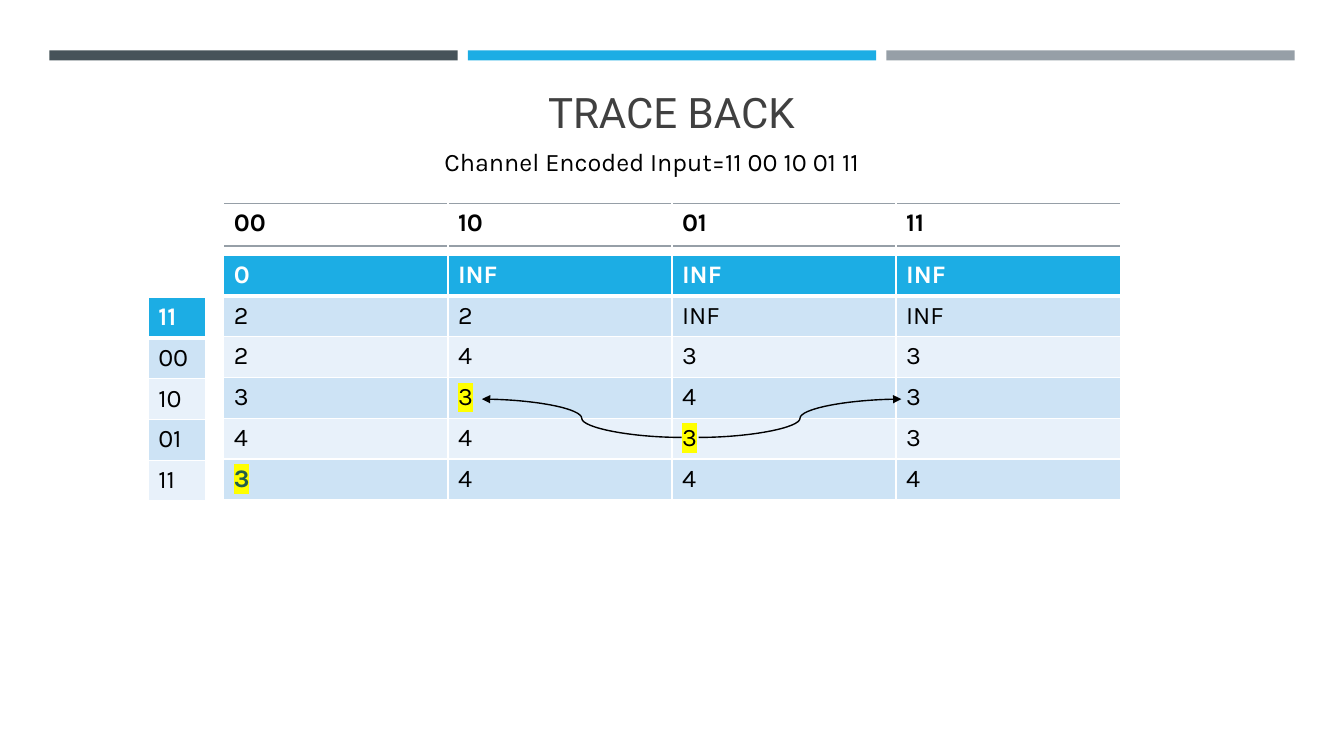
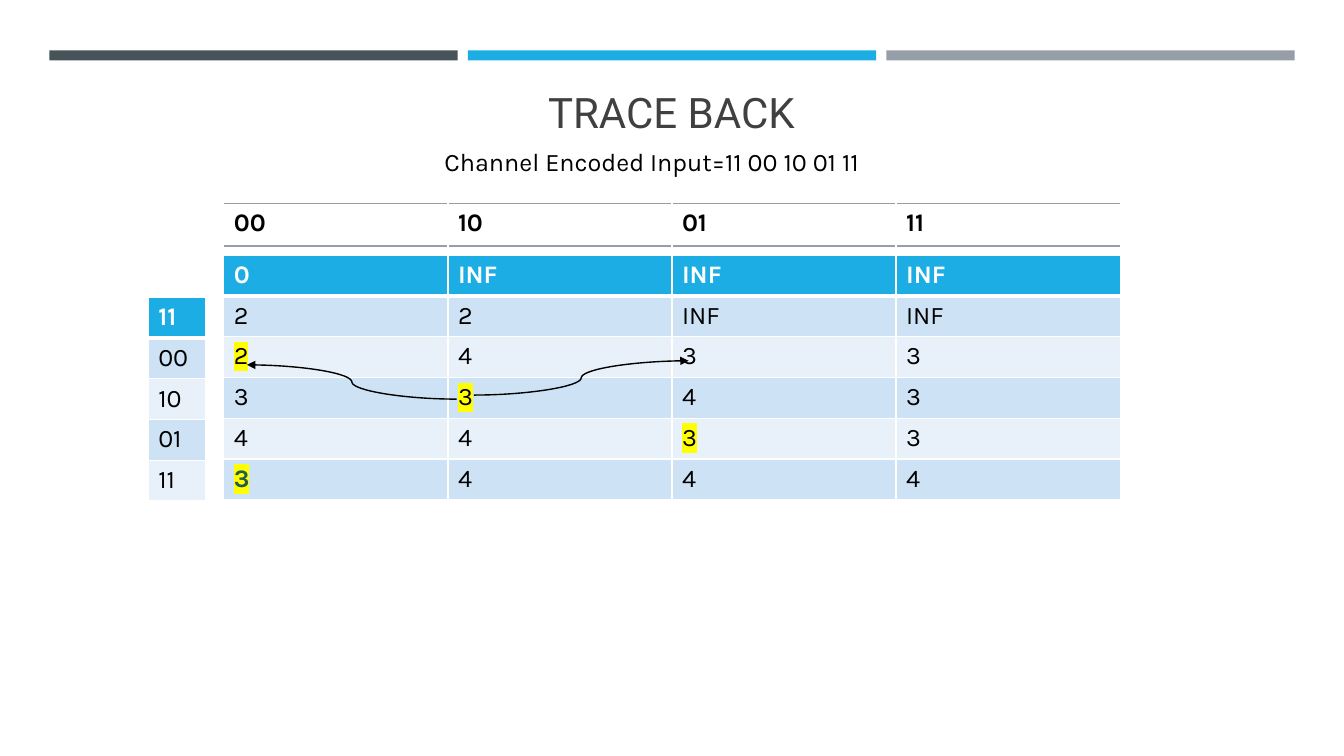
import pptx
import pptx.dml.color
import pptx.enum.shapes
import pptx.enum.text
import pptx.oxml
import pptx.oxml.ns
import pptx.util
from pptx.util import Inches

RGBColor = pptx.dml.color.RGBColor
qn = pptx.oxml.ns.qn

SLATE = RGBColor(0x46, 0x53, 0x59)
BLUE = RGBColor(0x1C, 0xAD, 0xE4)
GREY = RGBColor(0x96, 0x9F, 0xA7)
TITLE = RGBColor(0x40, 0x40, 0x40)
BAND_DARK = RGBColor(0xCD, 0xE3, 0xF5)
BAND_LIGHT = RGBColor(0xE8, 0xF1, 0xFA)
GREEN = RGBColor(0x21, 0x5D, 0x4C)
YELLOW = RGBColor(0xFF, 0xFF, 0x00)
BLACK = RGBColor(0, 0, 0)
WHITE = RGBColor(0xFF, 0xFF, 0xFF)

HEAD_FONT, BODY_FONT = "Roboto", "Karla"

STATES = ["00", "10", "01", "11"]
INPUTS = ["11", "00", "10", "01", "11"]
METRICS = [
    ["0", "INF", "INF", "INF"],
    ["2", "2", "INF", "INF"],
    ["2", "4", "3", "3"],
    ["3", "3", "4", "3"],
    ["4", "4", "3", "3"],
    ["3", "4", "4", "4"],
]
END_CELL = (5, 0)

# Each step: traced cells (row, column) and arrows (x1, y1, x2, y2)
STEPS = [
    ([END_CELL, (4, 2), (3, 1)],
     [(6.76, 4.34, 4.78, 3.96), (6.93, 4.34, 8.94, 3.96)]),
    ([END_CELL, (4, 2), (3, 1), (2, 0)],
     [(4.53, 3.96, 2.45, 3.62), (4.7, 3.92, 6.83, 3.58)]),
]


class Deck:
    def __init__(self):
        self.prs = pptx.Presentation()
        self.prs.slide_width = Inches(13.33)
        self.prs.slide_height = Inches(7.5)
        self.s = None

    def slide(self, title):
        """Start a slide with the shared bars and title."""
        self.s = self.prs.slides.add_slide(self.prs.slide_layouts[6])
        for i, color in enumerate((SLATE, BLUE, GREY)):
            self.bar(0.49 + 4.15 * i, color)
        self.text(title, 0.63, 0.8, 12.06, 0.61, HEAD_FONT, 30, TITLE, center=True)

    def bar(self, x, color):
        sp = self.s.shapes.add_shape(
            pptx.enum.shapes.MSO_SHAPE.RECTANGLE,
            Inches(x), Inches(0.5), Inches(4.05), Inches(0.1))
        sp.shadow.inherit = False
        sp.fill.solid()
        sp.fill.fore_color.rgb = color
        sp.line.fill.background()

    def run(self, p, text, font, size, color, bold=False, highlight=None):
        r = p.add_run()
        r.text = text
        r.font.size = pptx.util.Pt(size)
        r.font.bold = bold
        r.font.color.rgb = color
        r.font.name = font
        if highlight is not None:
            mark = pptx.oxml.parse_xml(
                f'<a:highlight {pptx.oxml.ns.nsdecls("a")}>'
                f'<a:srgbClr val="{highlight}"/></a:highlight>')
            r.font._element.find(qn("a:solidFill")).addnext(mark)

    def text(self, text, x, y, w, h, font, size, color, center=False):
        sp = self.s.shapes.add_textbox(Inches(x), Inches(y), Inches(w), Inches(h))
        tf = sp.text_frame
        tf.word_wrap = center
        tf.vertical_anchor = pptx.enum.text.MSO_ANCHOR.MIDDLE
        p = tf.paragraphs[0]
        if center:
            p.alignment = pptx.enum.text.PP_ALIGN.CENTER
        self.run(p, text, font, size, color)

    def border(self, cell, side, color, width):
        tc_pr = cell._tc.get_or_add_tcPr()
        tc_pr.append(pptx.oxml.parse_xml(
            f'<a:ln{side} {pptx.oxml.ns.nsdecls("a")} w="{pptx.util.Pt(width)}">'
            f'<a:solidFill><a:srgbClr val="{color}"/></a:solidFill></a:ln{side}>'))

    def grid(self, rows, x, y, w, h):
        """Add an unstyled table and yield each position, cell and text."""
        frame = self.s.shapes.add_table(
            len(rows), len(rows[0]), Inches(x), Inches(y), Inches(w), Inches(h))
        table = frame.table
        table.first_row = table.horz_banding = False
        for i, row in enumerate(rows):
            for j, text in enumerate(row):
                yield i, j, table.cell(i, j), text

    def banded_table(self, rows, x, y, w, h, traced=()):
        for i, j, cell, text in self.grid(rows, x, y, w, h):
            widths = {"L": 1, "R": 1, "T": 3 if i == 1 else 1, "B": 3 if i == 0 else 1}
            for side, width in widths.items():
                self.border(cell, side, WHITE, width)
            cell.fill.solid()
            cell.fill.fore_color.rgb = (
                BLUE if i == 0 else BAND_DARK if i % 2 else BAND_LIGHT)
            mark = YELLOW if (i, j) in traced else None
            end = mark is not None and (i, j) == END_CELL
            color = WHITE if i == 0 else GREEN if end else BLACK
            self.run(cell.text_frame.paragraphs[0], text, BODY_FONT, 18, color,
                     bold=i == 0 or end, highlight=mark)

    def ruled_table(self, row, x, y, w, h):
        for _, _, cell, text in self.grid([row], x, y, w, h):
            for side in "TB":
                self.border(cell, side, GREY, 1)
            cell.fill.background()
            self.run(cell.text_frame.paragraphs[0], text, BODY_FONT, 18, BLACK, bold=True)

    def arrow(self, x1, y1, x2, y2):
        c = self.s.shapes.add_connector(
            pptx.enum.shapes.MSO_CONNECTOR.CURVE,
            Inches(x1), Inches(y1), Inches(x2), Inches(y2))
        c.line.color.rgb = BLACK
        c.line.width = pptx.util.Pt(1)
        ln = c.line._get_or_add_ln()
        ln.append(ln.makeelement(qn("a:tailEnd"), {"type": "triangle"}))
        sp_pr = c._element.spPr
        sp_pr.append(sp_pr.makeelement(qn("a:effectLst"), {}))


def main():
    deck = Deck()
    for traced, arrows in STEPS:
        deck.slide("TRACE BACK")

        # Path metrics, input labels and state headings
        deck.banded_table(METRICS, 2.22, 2.53, 8.89, 2.43, traced)
        deck.banded_table([[bits] for bits in INPUTS], 1.47, 2.95, 0.57, 2.02)
        deck.ruled_table(STATES, 2.22, 2.02, 8.89, 0.42)
        deck.text("Channel Encoded Input=" + " ".join(INPUTS),
                  4.31, 1.4, 4.53, 0.4, BODY_FONT, 18, BLACK)

        # Candidate predecessors
        for ends in arrows:
            deck.arrow(*ends)
    deck.prs.save("out.pptx")


if __name__ == "__main__":
    main()
